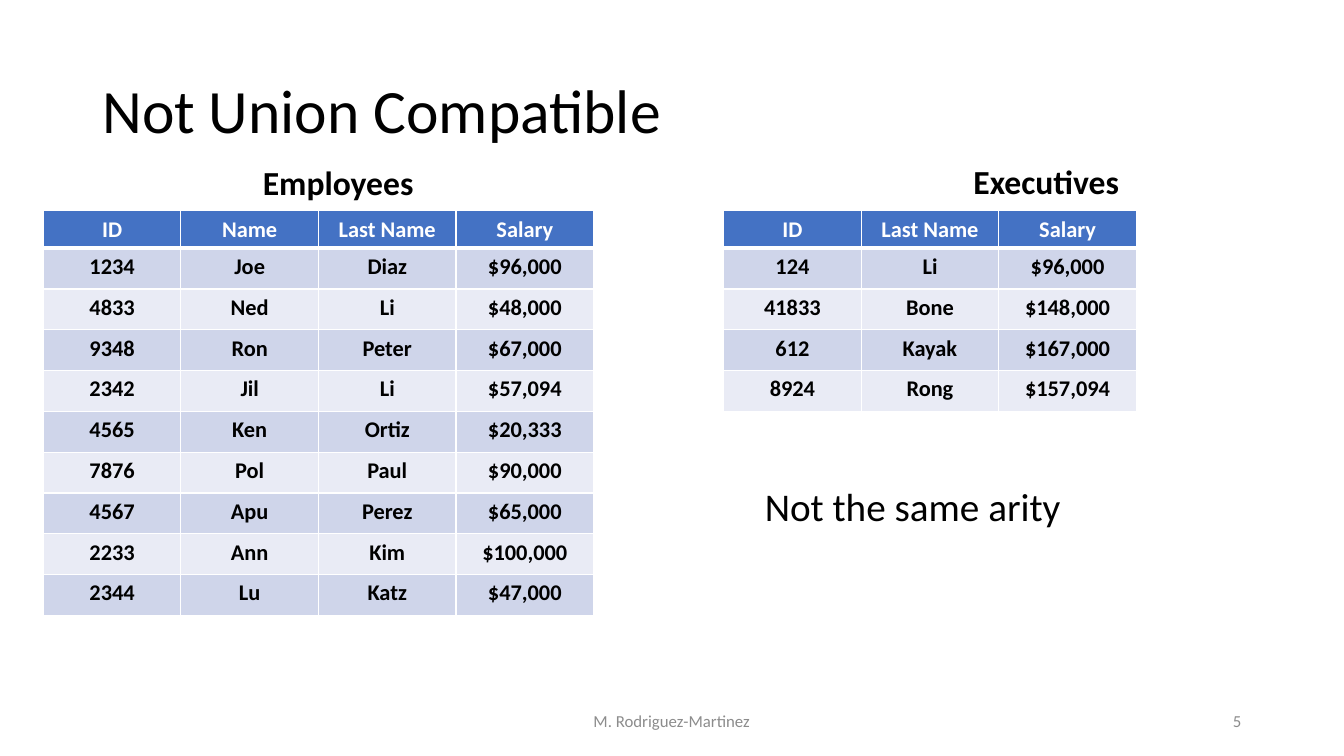
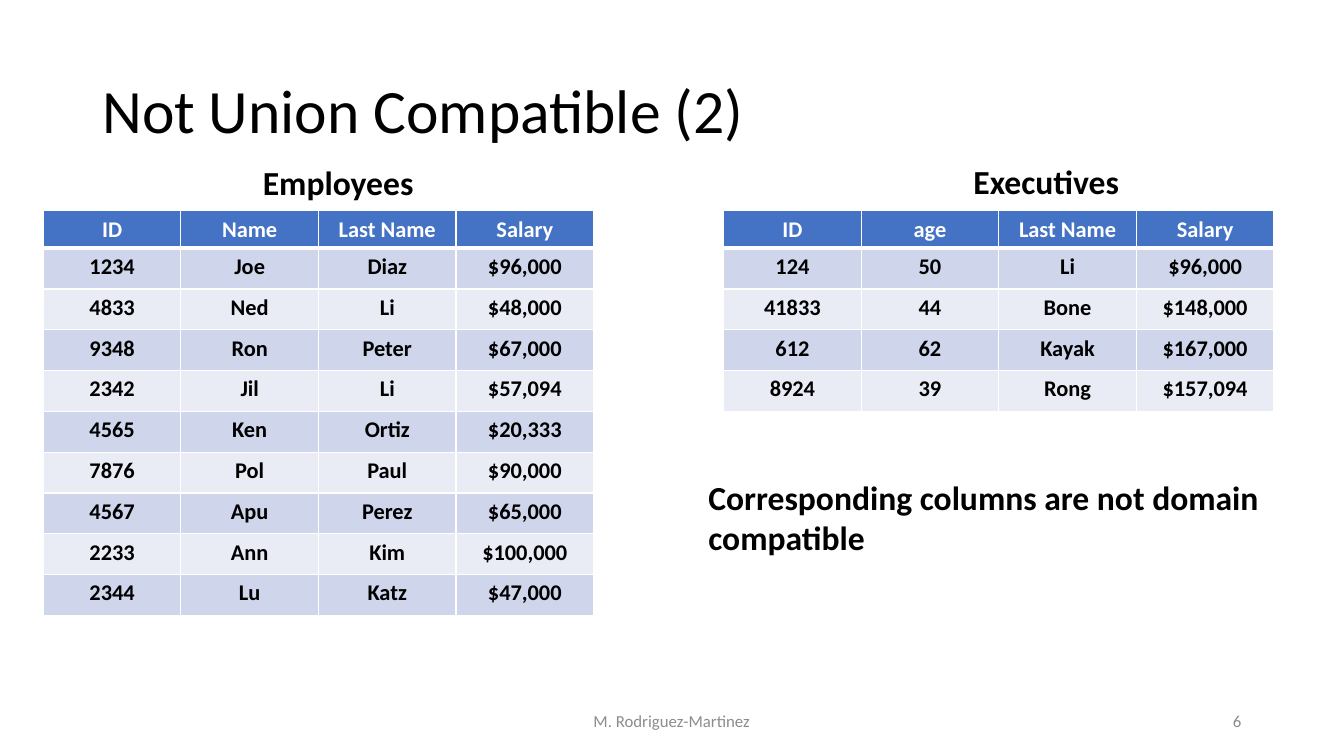
from lxml.etree import SubElement
from pptx import Presentation
from pptx.dml.color import RGBColor
from pptx.enum.text import MSO_ANCHOR, MSO_AUTO_SIZE, PP_ALIGN
from pptx.oxml.ns import qn
from pptx.util import Pt

PX = 4572
FONT = "Calibri"
BLACK = RGBColor(0, 0, 0)
WHITE = RGBColor(255, 255, 255)
GRAY = RGBColor(0x8C, 0x8C, 0x8C)
BLUE = RGBColor(0x44, 0x72, 0xC4)
BANDS = RGBColor(0xE9, 0xEB, 0xF5), RGBColor(0xCF, 0xD5, 0xEA)

COL, HEAD, ROW = 273, 74, 81
LEFT, RIGHT, TOP = 86, 1436, 418

STAFF = [
    ("ID", "Name", "Last Name", "Salary"),
    ("1234", "Joe", "Diaz", "$96,000"),
    ("4833", "Ned", "Li", "$48,000"),
    ("9348", "Ron", "Peter", "$67,000"),
    ("2342", "Jil", "Li", "$57,094"),
    ("4565", "Ken", "Ortiz", "$20,333"),
    ("7876", "Pol", "Paul", "$90,000"),
    ("4567", "Apu", "Perez", "$65,000"),
    ("2233", "Ann", "Kim", "$100,000"),
    ("2344", "Lu", "Katz", "$47,000"),
]
CHIEFS = [
    ("ID", "Last Name", "Salary"),
    ("124", "Li", "$96,000"),
    ("41833", "Bone", "$148,000"),
    ("612", "Kayak", "$167,000"),
    ("8924", "Rong", "$157,094"),
]
AGES = ["age", "50", "44", "62", "39"]


class Deck:
    """Holds the shared style and the current slide."""

    def __init__(self):
        """Start a wide, empty deck."""
        self.show = Presentation()
        self.show.slide_width, self.show.slide_height = 2667 * PX, 1500 * PX
        self.slide = None

    def text(self, para, words, size, color=BLACK, bold=False, align=PP_ALIGN.LEFT):
        """Add one styled run to a paragraph."""
        para.alignment = align
        run = para.add_run()
        run.text = words
        font = run.font
        font.name, font.size, font.bold = FONT, Pt(size), bold
        font.color.rgb = color

    def title(self, words):
        """Open a slide and set its title."""
        self.slide = self.show.slides.add_slide(self.show.slide_layouts[5])
        shape = self.slide.shapes.title
        shape.left, shape.top = 183 * PX, 80 * PX
        shape.width, shape.height = 2300 * PX, 290 * PX
        frame = shape.text_frame
        frame.auto_size = MSO_AUTO_SIZE.NONE
        frame.vertical_anchor = MSO_ANCHOR.MIDDLE
        para = frame.paragraphs[0]
        para.line_spacing = 0.9
        self.text(para, words, 44)

    def label(self, box, lines, size, bold=True):
        """Add a text box that does not wrap."""
        shape = self.slide.shapes.add_textbox(*(n * PX for n in box))
        frame = shape.text_frame
        frame.word_wrap = False
        frame.auto_size = MSO_AUTO_SIZE.SHAPE_TO_FIT_TEXT
        for i, line in enumerate(lines):
            para = frame.add_paragraph() if i else frame.paragraphs[0]
            self.text(para, line, size, bold=bold)

    def border(self, cell, row):
        """Draw white cell edges, thick below the header."""
        props = cell._tc.get_or_add_tcPr()
        thick = {(0, "lnB"), (1, "lnT")}
        for side in ("lnL", "lnR", "lnT", "lnB"):
            width = Pt(3 if (row, side) in thick else 1)
            line = SubElement(props, qn("a:" + side), w=str(int(width)))
            fill = SubElement(line, qn("a:solidFill"))
            SubElement(fill, qn("a:srgbClr"), val=str(WHITE))

    def table(self, left, rows):
        """Add a banded table with a blue header."""
        count, wide = len(rows), len(rows[0])
        high = HEAD + ROW * (count - 1)
        frame = self.slide.shapes.add_table(
            count, wide, left * PX, TOP * PX, wide * COL * PX, high * PX)
        grid = frame.table
        for col in grid.columns:
            col.width = COL * PX
        for i, row in enumerate(rows):
            grid.rows[i].height = (ROW if i else HEAD) * PX
            for j, words in enumerate(row):
                cell = grid.cell(i, j)
                self.border(cell, i)
                cell.fill.solid()
                cell.fill.fore_color.rgb = BANDS[i % 2] if i else BLUE
                self.text(cell.text_frame.paragraphs[0], words, 16,
                          BLACK if i else WHITE, True, PP_ALIGN.CENTER)

    def footer(self, number):
        """Add the author and the slide number."""
        for left, width, words, align in (
                (883, 900, "M. Rodriguez-Martinez", PP_ALIGN.CENTER),
                (1883, 600, str(number), PP_ALIGN.RIGHT)):
            shape = self.slide.shapes.add_textbox(
                left * PX, 1390 * PX, width * PX, 80 * PX)
            frame = shape.text_frame
            frame.word_wrap = True
            frame.vertical_anchor = MSO_ANCHOR.MIDDLE
            self.text(frame.paragraphs[0], words, 12, GRAY, align=align)

    def page(self, title, chiefs, number):
        """Build the parts that both slides share."""
        self.title(title)
        self.table(LEFT, STAFF)
        self.table(RIGHT, chiefs)
        self.label((502, 312, 342, 100), ["Employees"], 24)
        self.label((1912, 310, 334, 100), ["Executives"], 24)
        self.footer(number)


def main():
    """Build and save both slides."""
    deck = Deck()
    deck.page("Not Union Compatible", CHIEFS, 5)
    deck.label((1498, 948, 634, 114), ["Not the same arity"], 28, False)
    aged = [(row[0], age, *row[1:]) for row, age in zip(CHIEFS, AGES)]
    deck.page("Not Union Compatible (2)", aged, 6)
    deck.label((1386, 936, 1142, 182),
               ["Corresponding columns are not domain", "compatible"], 24)
    deck.show.save("out.pptx")


if __name__ == "__main__":
    main()
